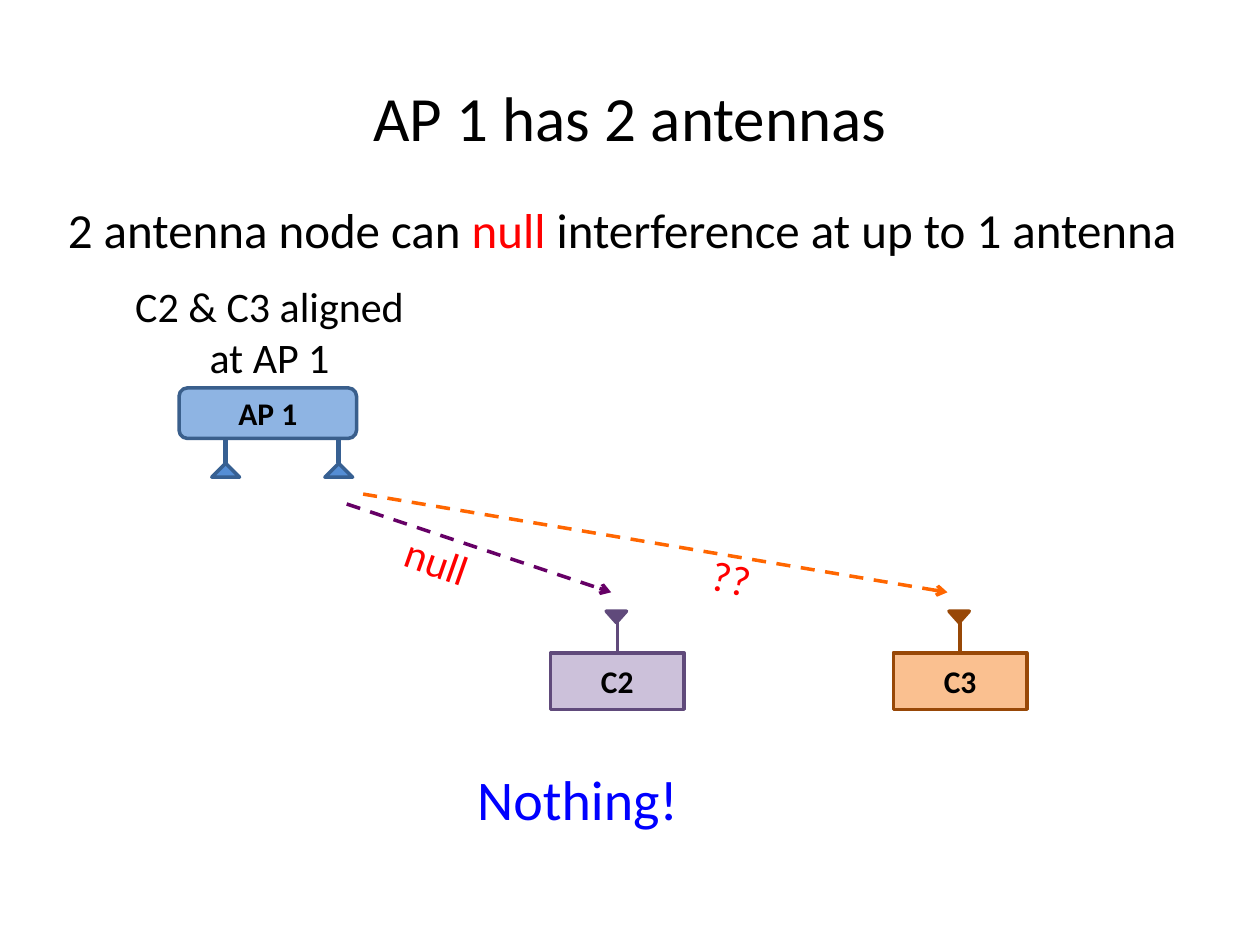
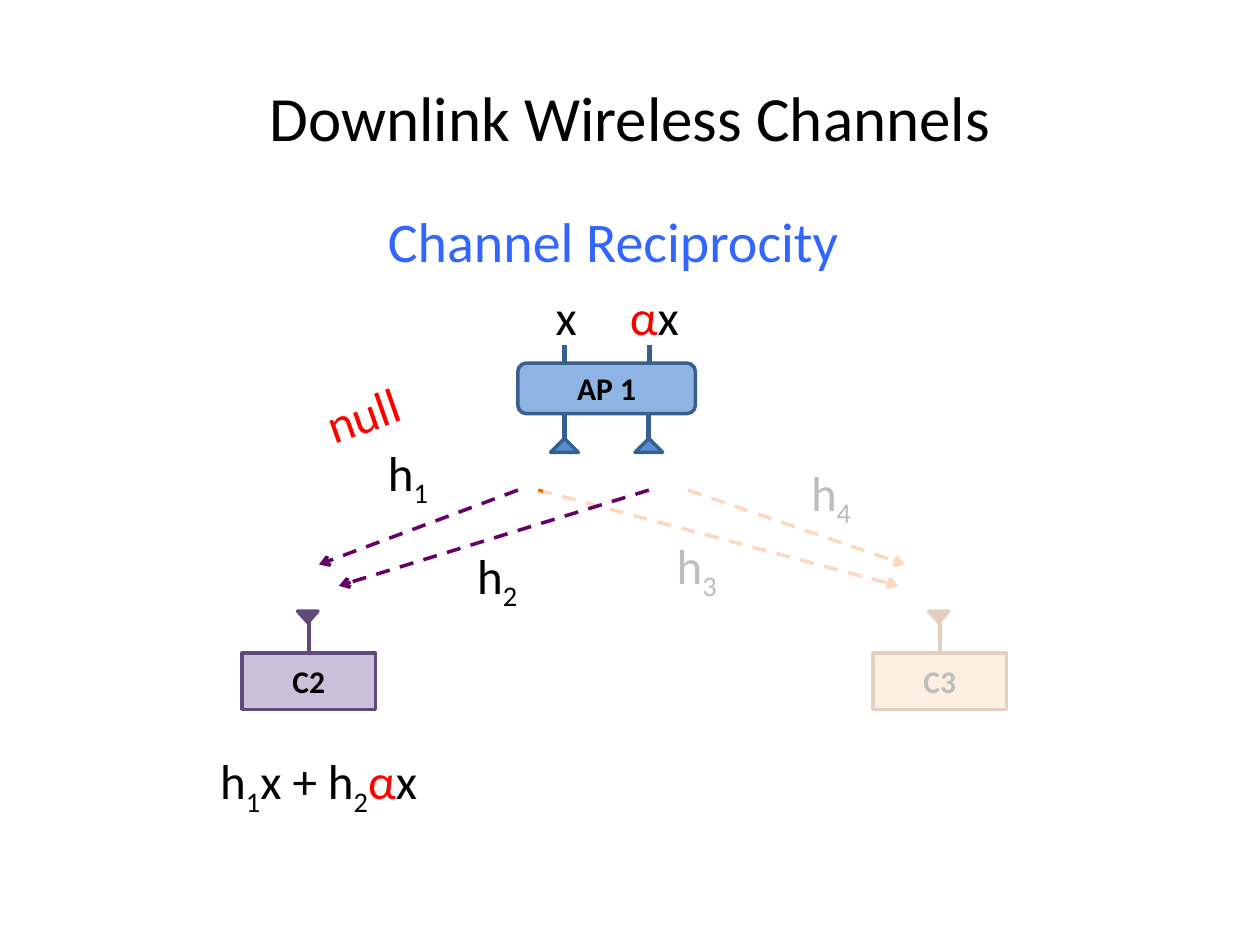
from dataclasses import dataclass

from lxml.etree import SubElement
from pptx import Presentation
from pptx.dml.color import RGBColor
from pptx.enum.dml import MSO_LINE
from pptx.enum.shapes import MSO_CONNECTOR, MSO_SHAPE
from pptx.enum.text import MSO_ANCHOR, MSO_AUTO_SIZE, PP_ALIGN
from pptx.oxml.ns import qn
from pptx.util import Cm, Pt


@dataclass(frozen=True)
class Theme:
    font: str = "Calibri"
    # Type sizes
    title: int = 36
    head: int = 32
    body: int = 28
    note: int = 24
    node: int = 18
    # Text colours
    ink: str = "000000"
    red: str = "FF0000"
    blue: str = "0000FF"
    sky: str = "3366FF"
    # Node colours
    white: str = "FFFFFF"
    ap_fill: str = "8EB4E3"
    ap_edge: str = "3A5F8C"
    mast: str = "376092"
    horn: str = "558ED5"
    c2_fill: str = "CCC1DA"
    c2_edge: str = "604A7B"
    c3_fill: str = "FAC090"
    c3_edge: str = "984807"
    # Signal colours
    plum: str = "660066"
    orange: str = "FF6600"


T = Theme()


def put(slide, box, lines=(), size=T.body, kind=None, fill=None, edge=None,
        turn=0, mid=False, bold=False):
    """Add a text box, or a preset shape if kind is given.

    Each line is a list of runs: (text, colour) or (text, colour, "sub").
    """
    place = [Cm(n) for n in box]
    if kind is None:
        shape = slide.shapes.add_textbox(*place)
        shape.text_frame.word_wrap = False
        shape.text_frame.auto_size = MSO_AUTO_SIZE.SHAPE_TO_FIT_TEXT
    else:
        shape = slide.shapes.add_shape(kind, *place)
        shape.shadow.inherit = False
        shape.fill.solid()
        shape.fill.fore_color.rgb = RGBColor.from_string(fill)
        if edge:
            shape.line.color.rgb = RGBColor.from_string(edge)
            shape.line.width = Pt(2)
        else:
            shape.line.fill.background()
        shape.text_frame.vertical_anchor = MSO_ANCHOR.MIDDLE
    shape.rotation = turn
    frame = shape.text_frame
    for i, line in enumerate(lines):
        para = frame.add_paragraph() if i else frame.paragraphs[0]
        para.alignment = PP_ALIGN.CENTER if mid else PP_ALIGN.LEFT
        for text, tint, *sub in line:
            run = para.add_run()
            run.text = text
            run.font.name = T.font
            run.font.size = Pt(size)
            run.font.bold = bold
            run.font.color.rgb = RGBColor.from_string(tint)
            if sub:
                run.font._element.set("baseline", "-25000")
    return shape


def wire(slide, start, end, tint, width=2, arrow=False):
    """Add a straight line, or a dashed arrow that points at end."""
    line = slide.shapes.add_connector(
        MSO_CONNECTOR.STRAIGHT, *[Cm(n) for n in (*start, *end)])
    line.line.color.rgb = RGBColor.from_string(tint)
    line.line.width = Pt(width)
    if arrow:
        line.line.dash_style = MSO_LINE.DASH
        SubElement(line.line._get_or_add_ln(), qn("a:tailEnd"), type="arrow")
    SubElement(line._element.spPr, qn("a:effectLst"))
    return line


deck = Presentation()
deck.slide_width, deck.slide_height = Cm(25.4), Cm(19.05)

# Shared scene: title, access point with two antennas, two clients
scenes = [
    ("AP 1 has 2 antennas", (3.61, 7.82), (4.55, 6.83), (11.1, 18.01)),
    ("Downlink Wireless Channels", (10.44, 7.32), (11.38, 13.08), (4.88, 17.6)),
]
clients = [("C2", T.c2_fill, T.c2_edge), ("C3", T.c3_fill, T.c3_edge)]
slides = []
for name, (left, top), masts, spots in scenes:
    slide = deck.slides.add_slide(deck.slide_layouts[5])
    slides.append(slide)

    # Title
    title = slide.shapes.title
    title.left, title.top = Cm(0.25), Cm(0.76)
    title.width, title.height = Cm(24.9), Cm(3.18)
    title.text_frame.vertical_anchor = MSO_ANCHOR.MIDDLE
    para = title.text_frame.paragraphs[0]
    para.alignment = PP_ALIGN.CENTER
    run = para.add_run()
    run.text = name
    run.font.name, run.font.size = T.font, Pt(T.title)
    run.font.color.rgb = RGBColor.from_string(T.ink)

    # Access point
    base = top + 1.02
    for x in masts:
        put(slide, (x - 0.28, base + 0.5, 0.56, 0.28),
            kind=MSO_SHAPE.ISOSCELES_TRIANGLE, fill=T.horn, edge=T.mast)
        wire(slide, (x, base), (x, base + 0.5), T.mast, 3)
    put(slide, (left, top, 3.58, 1.02), [[("AP 1", T.ink)]], T.node,
        MSO_SHAPE.ROUNDED_RECTANGLE, T.ap_fill, T.ap_edge, mid=True, bold=True)

    # Clients
    for x, (name, fill, edge) in zip(spots, clients):
        node = put(slide, (x, 13.16, 2.69, 1.14), [[(name, T.ink)]], T.node,
                   MSO_SHAPE.RECTANGLE, fill, edge, mid=True, bold=True)
        mid = x + 1.34
        put(slide, (mid - 0.22, 12.32, 0.41, 0.23),
            kind=MSO_SHAPE.ISOSCELES_TRIANGLE, fill=edge, edge=edge, turn=180)
        stem = wire(slide, (mid, 13.16), (mid, 12.52), edge)
        stem.begin_connect(node, 0)
        stem.end_x = stem.begin_x

first, second = slides

# Slide 1: claim, notes and signals
put(first, (1.12, 3.89, 23.24, 1.45), [[
    ("2 antenna node can ", T.ink), ("null", T.red),
    (" interference at up to 1 antenna", T.ink)]])
put(first, (2.44, 5.54, 5.99, 2.31),
    [[("C2 & C3 aligned", T.ink)], [("at AP 1", T.ink)]], T.note, mid=True)
put(first, (7.92, 10.67, 1.8, 1.27), [[("null", T.red)]], T.note, turn=19.4)
put(first, (14.1, 11, 1.3, 1.27), [[("??", T.red)]], T.note, turn=12.5)
put(first, (9.37, 15.29, 4.6, 1.63), [[("Nothing!", T.blue)]], T.head)
wire(first, (6.99, 10.16), (12.32, 11.94), T.plum, arrow=True)
wire(first, (7.32, 9.96), (19.1, 11.94), T.orange, arrow=True)

# Slide 2: signals to C3 and channel names
for start, end in [((13.87, 9.88), (18.24, 11.38)),
                   ((10.85, 9.88), (18.11, 11.81))]:
    wire(second, start, end, T.orange, arrow=True)
spots = [(7.57, 8.79), (9.37, 10.87), (13.39, 10.67), (16.1, 9.19)]
for i, (x, y) in enumerate(spots, 1):
    put(second, (x, y, 1.37, 1.45), [[("h", T.ink), (str(i), T.ink, "sub")]])

# Slide 2: veil that fades the C3 side
veil = put(second, (10.95, 9.37, 11.73, 6.15),
           kind=MSO_SHAPE.RECTANGLE, fill=T.white)
tint = veil._element.spPr.find(qn("a:solidFill"))[0]
SubElement(tint, qn("a:alpha"), val="74000")

# Slide 2: signals to C2
for start, end in [((10.44, 9.88), (6.43, 11.38)),
                   ((13.08, 9.88), (6.83, 11.81))]:
    wire(second, start, end, T.plum, arrow=True)

# Slide 2: inputs and notes
for x in (11.38, 13.1):
    wire(second, (x, 6.95), (x, 7.32), T.mast, 3)
put(second, (10.95, 5.66, 0.94, 1.45), [[("x", T.ink)]])
put(second, (12.45, 5.66, 1.5, 1.45), [[("α", T.red), ("x", T.ink)]])
put(second, (7.57, 4.04, 9.73, 1.63), [[("Channel Reciprocity", T.sky)]], T.head)
put(second, (6.32, 7.62, 2.01, 1.45), [[("null", T.red)]], turn=340.7)
put(second, (4.19, 15.01, 4.62, 1.45), [[
    ("h", T.ink), ("1", T.ink, "sub"), ("x + h", T.ink), ("2", T.ink, "sub"),
    ("α", T.red), ("x", T.ink)]])

deck.save("out.pptx")
